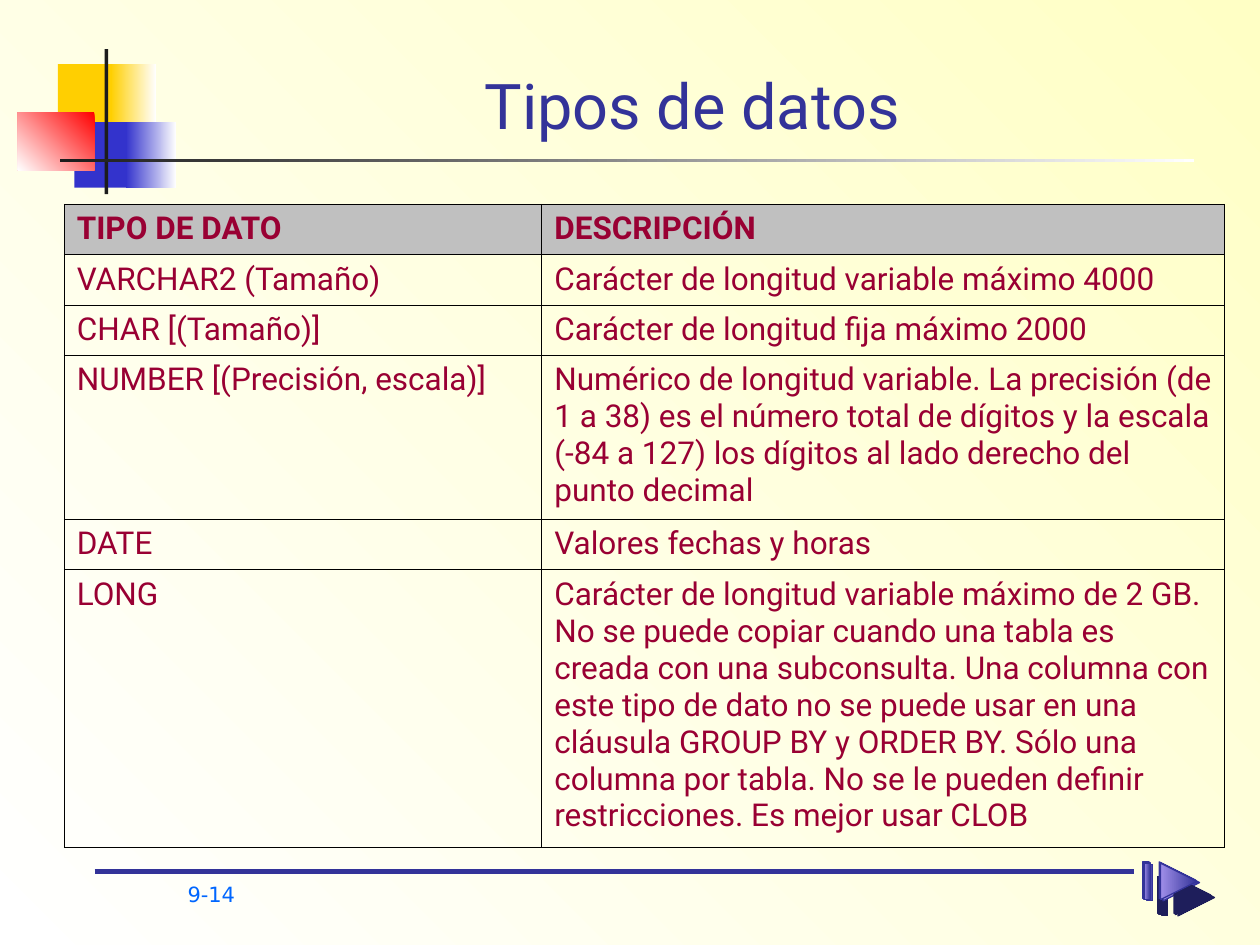
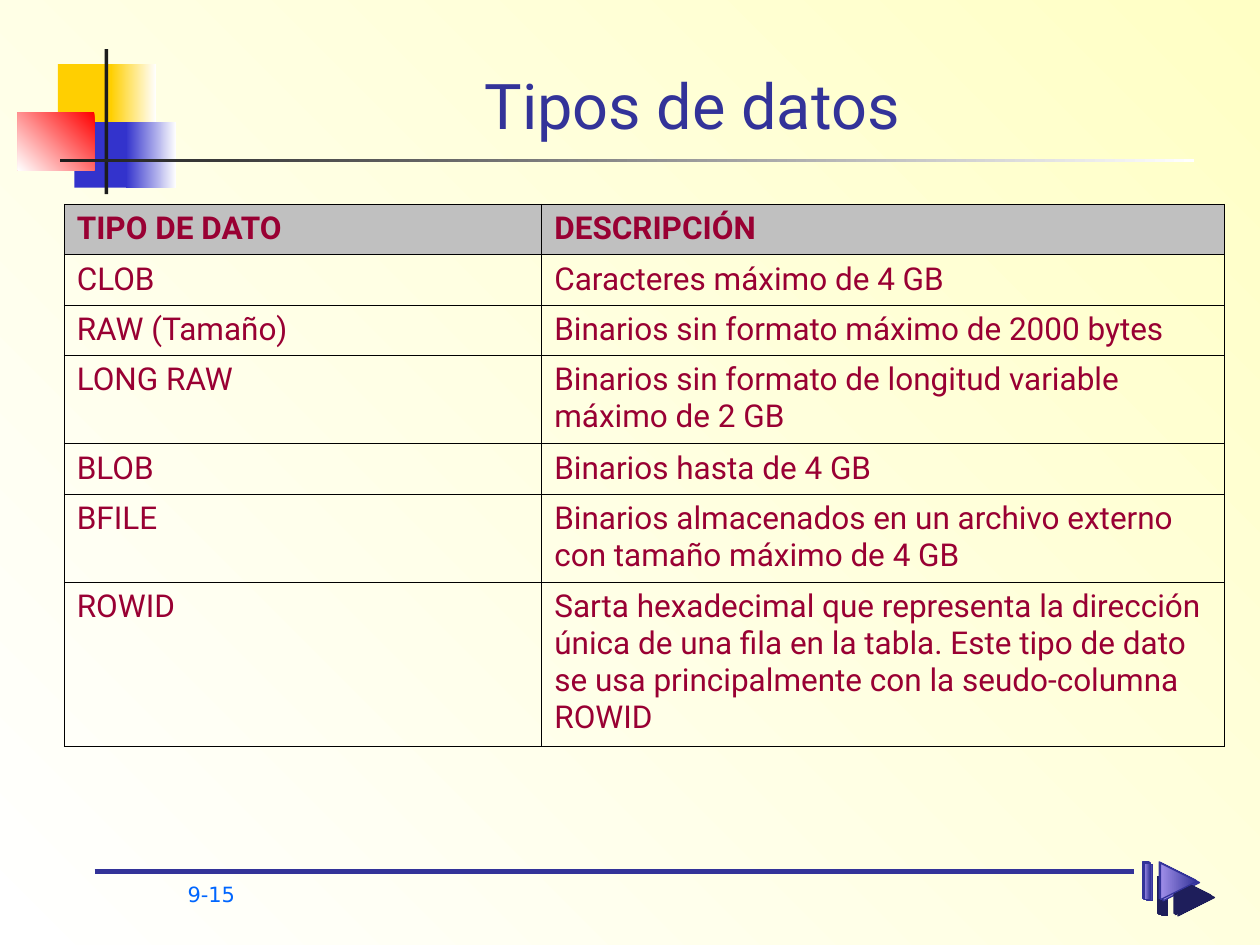
from dataclasses import dataclass
from lxml.etree import SubElement as Sub
from pptx import Presentation
from pptx.dml.color import RGBColor as Rgb
from pptx.enum.shapes import MSO_CONNECTOR as Link, MSO_SHAPE as Shape
from pptx.enum.text import MSO_ANCHOR as Anchor, MSO_AUTO_SIZE as Auto, PP_ALIGN as Align
from pptx.oxml.ns import qn
from pptx.util import Inches, Pt

# Content: type, description, lines the description takes
HEAD = ("TIPO DE DATO", "DESCRIPCIÓN", 1)
PAGES = [
    ("Tipos de datos", "9-14", [
        ("VARCHAR2 (Tamaño)", "Carácter de longitud variable máximo 4000", 1),
        ("CHAR [(Tamaño)]", "Carácter de longitud fija máximo 2000", 1),
        ("NUMBER [(Precisión, escala)]",
         "Numérico de longitud variable. La precisión (de 1 a 38) es el número total de "
         "dígitos y la escala (-84 a 127) los dígitos al lado derecho del punto decimal", 4),
        ("DATE", "Valores fechas y horas", 1),
        ("LONG",
         "Carácter de longitud variable máximo de 2 GB. No se puede copiar cuando una tabla "
         "es creada con una subconsulta. Una columna con este tipo de dato no se puede usar "
         "en una cláusula GROUP BY y ORDER BY. Sólo una columna por tabla. No se le pueden "
         "definir restricciones. Es mejor usar CLOB", 7),
    ]),
    ("Tipos de datos", "9-15", [
        ("CLOB", "Caracteres máximo de 4 GB", 1),
        ("RAW (Tamaño)", "Binarios sin formato máximo de 2000 bytes", 1),
        ("LONG RAW", "Binarios sin formato de longitud variable máximo de 2 GB", 2),
        ("BLOB", "Binarios hasta de 4 GB", 1),
        ("BFILE", "Binarios almacenados en un archivo externo con tamaño máximo de 4 GB", 2),
        ("ROWID",
         "Sarta hexadecimal que representa la dirección única de una fila en la tabla. "
         "Este tipo de dato se usa principalmente con la seudo-columna ROWID", 4),
    ]),
]


@dataclass(frozen=True)
class Theme:
    navy: str = "333399"
    lilac: str = "A08FE9"
    shade: str = "1E1E5B"
    gold: str = "FFCF01"
    blue: str = "3333CC"
    red: str = "FF0000"
    ink: str = "1C1C1C"
    white: str = "FFFFFF"
    cream: str = "FFFFC5"
    wine: str = "990033"
    gray: str = "C0C0C0"
    black: str = "000000"
    sky: str = "0066FF"
    font: str = "Roboto"
    foot: str = "DejaVu Sans"
    big: int = 36
    mid: int = 18
    small: int = 12


T = Theme()

# Title motif: place, colours (two make a gradient), clockwise angle
MOTIF = [
    ((0.46, 0.51, 0.48, 0.52), (T.gold,), 0),
    ((0.88, 0.51, 0.36, 0.52), (T.white, T.gold), 180),
    ((0.59, 0.97, 0.46, 0.52), (T.blue,), 0),
    ((1.0, 0.97, 0.4, 0.52), (T.white, T.blue), 180),
    ((0.14, 0.89, 0.61, 0.46), (T.red, T.white), 135),
    ((0.83, 0.39, 0.03, 1.15), (T.ink,), 0),
    ((0.48, 1.26, 9, 0.03), (T.white, T.ink), 180),
]
COLS = (3.79, 5.42)
STEPS = [(0.03, 0.02), (0, 0), (0.01, 0.01)]  # stacked layers of the arrow icon


def box(*sides):
    return [Inches(side) for side in sides]


def paint(fill, tones, turn=0):
    if len(tones) == 1:
        fill.solid()
        fill.fore_color.rgb = Rgb.from_string(tones[0])
        return
    fill.gradient()
    fill.gradient_angle = (360 - turn) % 360
    for stop, tone in zip(fill.gradient_stops, tones):
        stop.color.rgb = Rgb.from_string(tone)


def write(frame, text, size, tone, font=T.font, bold=False):
    frame.text = text
    for run in frame.paragraphs[0].runs:
        run.font.size, run.font.name, run.font.bold = Pt(size), font, bold
        run.font.color.rgb = Rgb.from_string(tone)


def stroke(line, tone, width):
    line.color.rgb = Rgb.from_string(tone)
    line.width = Pt(width)


def gloss(shape):
    """Style one layer of the icon, with its hard shadow."""
    paint(shape.fill, (T.navy, T.lilac), 180)
    stroke(shape.line, T.navy, 0.75)
    shape.shadow.inherit = False
    cast = Sub(shape._element.spPr.find(qn("a:effectLst")), qn("a:outerShdw"),
               dist=str(Pt(12.1)), dir=str(45 * 60000), algn="ctr", rotWithShape="0")
    Sub(cast, qn("a:srgbClr"), val=T.shade)


def draw_icon(slide):
    parts = slide.shapes.add_group_shape().shapes
    for dx, dy in STEPS:
        gloss(parts.add_shape(Shape.RECTANGLE, *box(9.07 + dx, 6.84 + dy, 0.05, 0.29)))
    for dx, dy in STEPS:
        x, y = 9.2 + dx, 6.84 + dy
        path = parts.build_freeform(*box(x + 0.29, y + 0.145))
        path.add_line_segments([box(x, y), box(x, y + 0.29)], close=True)
        gloss(path.convert_to_shape())


def draw_frame(slide, code):
    for place, tones, turn in MOTIF:
        tile = slide.shapes.add_shape(Shape.RECTANGLE, *box(*place))
        tile.shadow.inherit = False
        tile.line.fill.background()
        paint(tile.fill, tones, turn)
    rule = slide.shapes.add_connector(Link.STRAIGHT, *box(0.75, 6.92, 9, 6.92))
    stroke(rule.line, T.navy, 2.75)
    Sub(rule._element.spPr, qn("a:effectLst"))
    draw_icon(slide)
    frame = slide.shapes.add_textbox(*box(1.39, 6.95, 0.86, 0.33)).text_frame
    frame.word_wrap, frame.auto_size = True, Auto.SHAPE_TO_FIT_TEXT
    write(frame, code, T.small, T.sky, T.foot)


def set_title(shape, text):
    shape.left, shape.top, shape.width, shape.height = box(1.26, 0.36, 8.47, 0.82)
    frame = shape.text_frame
    frame.vertical_anchor, frame.auto_size = Anchor.BOTTOM, Auto.NONE
    write(frame, text, T.big, T.navy)
    frame.paragraphs[0].alignment = Align.CENTER


def edge(cell):
    props = cell._tc.get_or_add_tcPr()
    for side in "LRTB":
        line = Sub(props, qn("a:ln" + side), w=str(Pt(0.45)))
        Sub(Sub(line, qn("a:solidFill")), qn("a:srgbClr"), val=T.black)


def draw_table(slide, rows):
    highs = [0.1 + 0.3 * lines for *_, lines in rows]
    grid = slide.shapes.add_table(
        len(rows), len(COLS), *box(0.51, 1.62, sum(COLS), sum(highs))).table
    grid.first_row = grid.horz_banding = False
    for col, wide in zip(grid.columns, COLS):
        col.width = Inches(wide)
    for r, (row, high) in enumerate(zip(rows, highs)):
        grid.rows[r].height = Inches(high)
        for cell, text in zip(grid.rows[r].cells, row):
            edge(cell)
            if r == 0:
                paint(cell.fill, (T.gray,))
            else:
                cell.fill.background()
            write(cell.text_frame, text, T.mid, T.wine, bold=r == 0)


def main():
    deck = Presentation()
    deck.slide_width, deck.slide_height = box(10, 7.5)
    paint(deck.slide_master.background.fill, (T.cream, T.white), 135)
    for title, code, rows in PAGES:
        slide = deck.slides.add_slide(deck.slide_layouts[5])
        draw_frame(slide, code)
        set_title(slide.shapes.title, title)
        draw_table(slide, [HEAD] + rows)
    deck.save("out.pptx")


if __name__ == "__main__":
    main()
